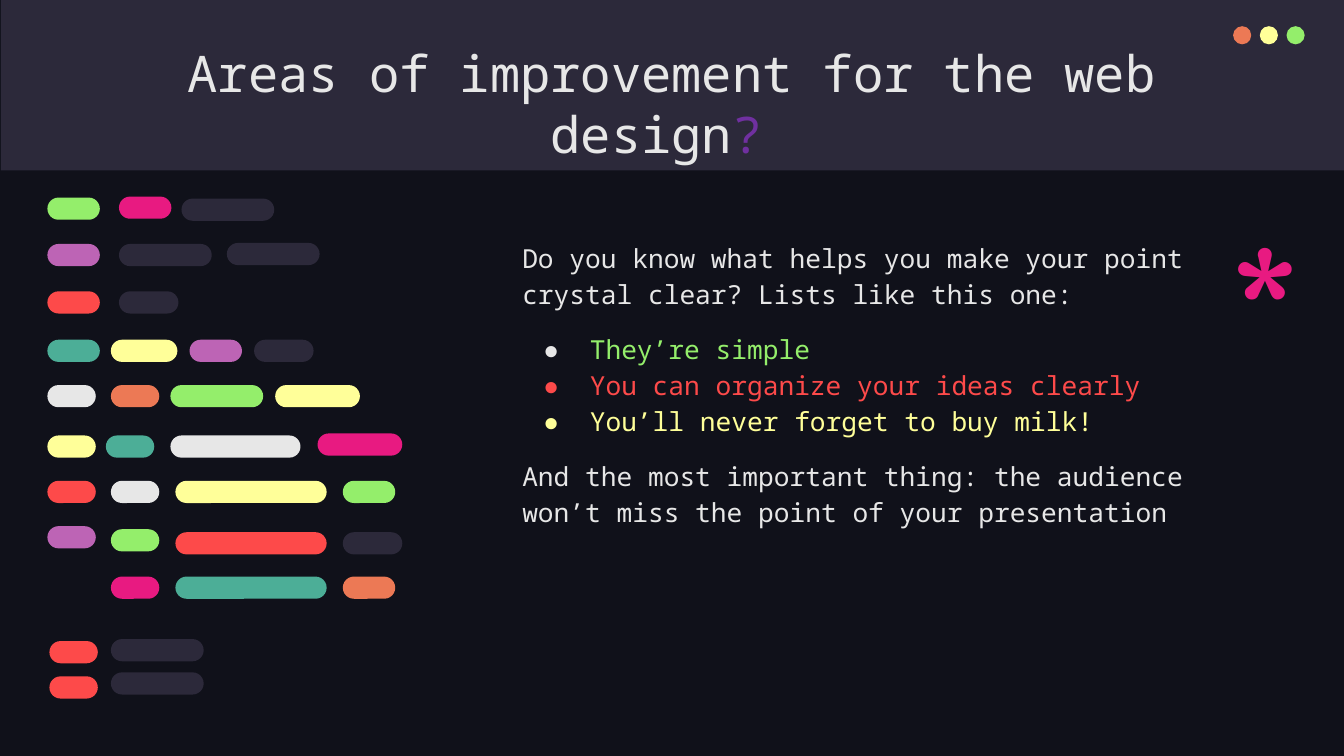
from pptx import Presentation
from pptx.dml.color import RGBColor
from pptx.enum.shapes import MSO_SHAPE
from pptx.enum.text import MSO_ANCHOR, MSO_AUTO_SIZE, PP_ALIGN
from pptx.oxml import parse_xml
from pptx.oxml.ns import nsdecls
from pptx.util import Inches, Pt

NIGHT, SLATE, WHITE = "10111A", "2C293A", "E7E7E7"
GREEN, PINK, PURPLE, RED = "94EE6B", "E81A81", "BD64B5", "FD4A4A"
TEAL, YELLOW, ORANGE, VIOLET = "4CAE97", "FFFF99", "EC7955", "7030A0"
MONO = "Noto Sans Mono"

# Code bars, line by line: (left, top, width, colour)
CODE_LINES = [
    [(0.47, 1.96, 0.52, GREEN), (1.18, 1.95, 0.52, PINK), (1.8, 1.97, 0.92, SLATE)],
    [(0.47, 2.42, 0.52, PURPLE), (1.18, 2.42, 0.92, SLATE), (2.25, 2.41, 0.92, SLATE)],
    [(0.47, 2.89, 0.52, RED), (1.18, 2.89, 0.59, SLATE)],
    [(0.47, 3.37, 0.52, TEAL), (1.1, 3.37, 0.66, YELLOW),
     (1.88, 3.37, 0.52, PURPLE), (2.52, 3.37, 0.59, SLATE)],
    [(0.47, 3.82, 0.48, WHITE), (1.1, 3.82, 0.48, ORANGE),
     (1.69, 3.82, 0.92, GREEN), (2.73, 3.82, 0.84, YELLOW)],
    [(0.47, 4.32, 0.48, YELLOW), (1.05, 4.32, 0.48, TEAL),
     (1.69, 4.32, 1.29, WHITE), (3.15, 4.3, 0.84, PINK)],
    [(0.47, 4.77, 0.48, RED), (1.1, 4.77, 0.48, WHITE),
     (1.74, 4.77, 1.5, YELLOW), (3.4, 4.77, 0.52, GREEN)],
    [(0.47, 5.22, 0.48, PURPLE), (1.1, 5.25, 0.48, GREEN),
     (1.74, 5.28, 1.5, RED), (3.4, 5.28, 0.59, SLATE)],
    [(1.1, 5.72, 0.48, PINK), (1.74, 5.72, 1.5, TEAL), (3.4, 5.72, 0.52, ORANGE)],
    [(0.49, 6.36, 0.48, RED), (1.1, 6.34, 0.92, SLATE)],
    [(0.49, 6.71, 0.48, RED), (1.1, 6.67, 0.92, SLATE)],
]

# Body text: (text, colour, bullet colour or None, space before)
BODY = [
    ("Do you know what helps you make your point crystal clear? Lists like this one:",
     WHITE, None, 0),
    ("They’re simple ", GREEN, WHITE, 13.3),
    ("You can organize your ideas clearly", RED, RED, 0),
    ("You’ll never forget to buy milk!", YELLOW, YELLOW, 0),
    ("And the most important thing: the audience won’t miss the point of your presentation",
     WHITE, None, 13.3),
]


def rgb(value):
    return RGBColor.from_string(value)


def add_filled_shape(shapes, kind, left, top, width, height, colour):
    shape = shapes.add_shape(kind, Inches(left), Inches(top), Inches(width), Inches(height))
    shape.shadow.inherit = False
    shape.fill.solid()
    shape.fill.fore_color.rgb = rgb(colour)
    shape.line.fill.background()
    return shape


def place_text(shape, left, top, width, height):
    shape.left, shape.top = Inches(left), Inches(top)
    shape.width, shape.height = Inches(width), Inches(height)
    frame = shape.text_frame
    frame.word_wrap = True
    frame.auto_size = MSO_AUTO_SIZE.NONE
    frame.vertical_anchor = MSO_ANCHOR.TOP
    frame.margin_left = frame.margin_right = Inches(0.13)
    frame.margin_top = frame.margin_bottom = Inches(0.13)
    return frame


def set_font(font, name, size, colour):
    font.name, font.size = name, Pt(size)
    font.color.rgb = rgb(colour)


def set_bullet(paragraph, colour):
    properties = paragraph._p.get_or_add_pPr()
    properties.set("marL", str(Inches(0.67) if colour else 0))
    properties.set("indent", str(Inches(-0.46) if colour else 0))
    if colour:
        marks = [f'<a:buClr {nsdecls("a")}><a:srgbClr val="{colour}"/></a:buClr>',
                 f'<a:buFont {nsdecls("a")} typeface="{MONO}"/>',
                 f'<a:buChar {nsdecls("a")} char="●"/>']
    else:
        marks = [f'<a:buNone {nsdecls("a")}/>']
    # Bullet marks must stand before the default run properties
    defaults = properties.find("{*}defRPr")
    for mark in marks:
        defaults.addprevious(parse_xml(mark))


def add_header(slide):
    add_filled_shape(slide.shapes, MSO_SHAPE.RECTANGLE, 0.01, 0, 13.33, 1.69, SLATE)
    dots = slide.shapes.add_group_shape()
    for index, colour in enumerate((ORANGE, YELLOW, GREEN)):
        add_filled_shape(dots.shapes, MSO_SHAPE.OVAL,
                         12.23 + index * 0.265, 0.26, 0.18, 0.18, colour)


def fill_title(title):
    paragraph = place_text(title, 1.04, 0.29, 11.24, 0.84).paragraphs[0]
    paragraph.alignment = PP_ALIGN.CENTER
    set_font(paragraph.font, MONO, 36, WHITE)
    paragraph.add_run().text = "Areas of improvement for the web design"
    question = paragraph.add_run()
    question.text = "? "
    question.font.color.rgb = rgb(VIOLET)


def fill_body(body):
    frame = place_text(body, 5.05, 2.23, 7.24, 4.48)
    for index, (text, colour, bullet, space) in enumerate(BODY):
        paragraph = frame.add_paragraph() if index else frame.paragraphs[0]
        paragraph.text = text
        paragraph.line_spacing = 1.15
        paragraph.space_before = Pt(space)
        set_font(paragraph.font, MONO, 18.7, colour)
        set_bullet(paragraph, bullet)


def add_code_bars(slide):
    group = slide.shapes.add_group_shape()
    for line in CODE_LINES:
        for left, top, width, colour in line:
            bar = add_filled_shape(group.shapes, MSO_SHAPE.ROUNDED_RECTANGLE,
                                   left, top, width, 0.22, colour)
            bar.adjustments[0] = 0.5


def add_asterisk(slide):
    box = slide.shapes.add_textbox(0, 0, 0, 0)
    paragraph = place_text(box, 12.07, 1.95, 0.76, 1.15).paragraphs[0]
    paragraph.text = "*"
    set_font(paragraph.font, "Comfortaa", 128, PINK)


def main():
    presentation = Presentation()
    presentation.slide_width, presentation.slide_height = Inches(13.33), Inches(7.5)
    slide = presentation.slides.add_slide(presentation.slide_layouts[1])
    slide.background.fill.solid()
    slide.background.fill.fore_color.rgb = rgb(NIGHT)
    title, body = slide.placeholders

    add_header(slide)
    # Bring the text in front of the header band
    slide.shapes._spTree.extend([title._element, body._element])
    fill_title(title)
    fill_body(body)
    add_code_bars(slide)
    add_asterisk(slide)
    presentation.save("out.pptx")


main()
